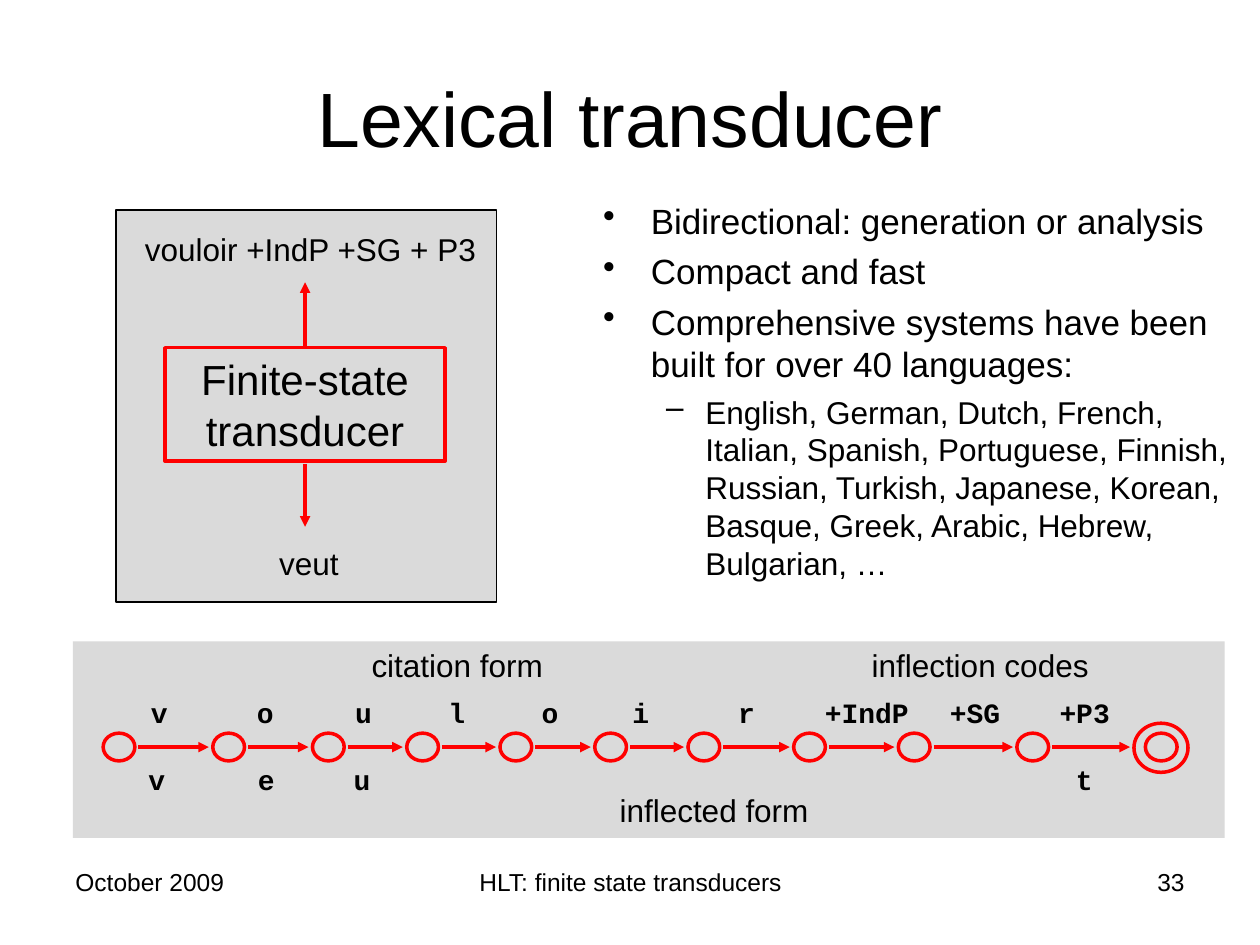
from dataclasses import dataclass

import pptx
import pptx.dml.color
import pptx.enum.shapes
import pptx.enum.text
import pptx.oxml.ns
import pptx.util
from lxml import etree

Cm = pptx.util.Cm
Pt = pptx.util.Pt
Shape = pptx.enum.shapes.MSO_SHAPE
Align = pptx.enum.text.PP_ALIGN
Anchor = pptx.enum.text.MSO_ANCHOR
qn = pptx.oxml.ns.qn

BLACK, RED, GREY = "000000", "FF0000", "DADADA"
STATE_TOP, STATE_WIDTH, STATE_HEIGHT = 14.78, 0.64, 0.56
ARC_Y = 15.06
UPPER_TOP, LOWER_TOP = 13.89, 15.24
FINAL_STATE = 23.09
FINAL_RING = 22.86


@dataclass
class Box:
    left: float
    top: float
    width: float
    height: float

    def lengths(self) -> tuple:
        return Cm(self.left), Cm(self.top), Cm(self.width), Cm(self.height)


@dataclass
class Caption:
    text: str
    box: Box
    size: float = 18
    align: Align = Align.LEFT
    anchor: Anchor = Anchor.TOP


@dataclass
class Transition:
    state: float
    upper: str
    upper_left: float
    lower: str = ""
    lower_left: float = 0


@dataclass
class Bullet:
    text: str
    mark: str = "•"
    level: int = 0
    size: float = 20
    margin: float = 0.96
    hanging: float = 0.96
    before: float = 5


CAPTIONS = [
    Caption("Lexical transducer", Box(1.27, 0.76, 22.86, 3.18), 44, Align.CENTER, Anchor.MIDDLE),
    Caption("vouloir +IndP +SG + P3", Box(2.67, 4.52, 7.3, 1.02)),
    Caption("veut", Box(5.38, 10.85, 1.9, 1.02)),
    Caption("citation form", Box(7.24, 12.9, 4.78, 1.02)),
    Caption("inflection codes", Box(17.32, 12.9, 5.64, 1.02)),
    Caption("inflected form", Box(12.24, 15.82, 4.52, 1.02)),
    Caption("October 2009", Box(1.27, 17.35, 5.92, 1.32), 14),
    Caption("HLT: finite state transducers", Box(8.69, 17.35, 8.05, 1.32), 14, Align.CENTER),
    Caption("33", Box(18.21, 17.35, 5.92, 1.32), 14, Align.RIGHT),
]

TRANSITIONS = [
    Transition(2.08, "v", 2.79, "v", 2.74),
    Transition(4.29, "o", 4.93, "e", 4.95),
    Transition(6.3, "u", 6.91, "u", 6.88),
    Transition(8.2, "l", 8.79),
    Transition(10.08, "o", 10.67),
    Transition(11.99, "i", 12.5),
    Transition(13.87, "r", 14.63),
    Transition(16, "+IndP", 16.38),
    Transition(18.11, "+SG", 18.9),
    Transition(20.5, "+P3", 21.11, "t", 21.44),
]

BULLETS = [
    Bullet("Bidirectional: generation or analysis", before=0),
    Bullet("Compact and fast"),
    Bullet("Comprehensive systems have been built for over 40 languages:"),
    Bullet(
        "English, German, Dutch, French, Italian, Spanish, Portuguese, Finnish, "
        "Russian, Turkish, Japanese, Korean, Basque, Greek, Arabic, Hebrew, Bulgarian, …",
        "–", 1, 18, 2.06, 0.79, 4.5,
    ),
]


def rgb(value: str):
    return pptx.dml.color.RGBColor.from_string(value)


def write(paragraph, text: str, *, size: float, font: str = "Arial", color: str = BLACK,
          bold: bool = False, align: Align = Align.LEFT, before: float = 0) -> None:
    paragraph.alignment = align
    paragraph.space_before = Pt(before)
    run = paragraph.add_run()
    run.text = text
    run.font.size = Pt(size)
    run.font.name = font
    run.font.bold = bold
    run.font.color.rgb = rgb(color)


def add_frame(slide, box: Box, anchor: Anchor = Anchor.TOP):
    frame = slide.shapes.add_textbox(*box.lengths()).text_frame
    frame.word_wrap = True
    frame.vertical_anchor = anchor
    return frame


def draw_caption(slide, caption: Caption) -> None:
    frame = add_frame(slide, caption.box, caption.anchor)
    write(frame.paragraphs[0], caption.text, size=caption.size, align=caption.align)


def draw_symbol(slide, symbol: str, left: float, top: float) -> None:
    frame = add_frame(slide, Box(left, top, 0.6 + 0.34 * len(symbol), 0.91))
    write(frame.paragraphs[0], symbol, size=16, font="Courier New", bold=True)


def draw_shape(slide, kind: Shape, box: Box, fill: str = "", line: str = "", weight: float = 2):
    shape = slide.shapes.add_shape(kind, *box.lengths())
    shape.shadow.inherit = False
    if fill:
        shape.fill.solid()
        shape.fill.fore_color.rgb = rgb(fill)
    else:
        shape.fill.background()
    if line:
        shape.line.color.rgb = rgb(line)
        shape.line.width = Pt(weight)
    else:
        shape.line.fill.background()
    return shape


def draw_arrow(slide, x1: float, y1: float, x2: float, y2: float) -> None:
    arrow = slide.shapes.add_connector(
        pptx.enum.shapes.MSO_CONNECTOR.STRAIGHT, Cm(x1), Cm(y1), Cm(x2), Cm(y2))
    arrow.line.color.rgb = rgb(RED)
    arrow.line.width = Pt(2)
    etree.SubElement(arrow.line._get_or_add_ln(), qn("a:tailEnd"), type="triangle")
    etree.SubElement(arrow._element.spPr, qn("a:effectLst"))


def draw_state(slide, left: float) -> None:
    draw_shape(slide, Shape.OVAL, Box(left, STATE_TOP, STATE_WIDTH, STATE_HEIGHT), line=RED)


def draw_bullets(slide, box: Box, bullets: list[Bullet]) -> None:
    frame = add_frame(slide, box)
    for index, bullet in enumerate(bullets):
        paragraph = frame.add_paragraph() if index else frame.paragraphs[0]
        paragraph.level = bullet.level
        properties = paragraph._p.get_or_add_pPr()
        properties.set("marL", str(Cm(bullet.margin)))
        properties.set("indent", str(-Cm(bullet.hanging)))
        etree.SubElement(properties, qn("a:buChar"), char=bullet.mark)
        write(paragraph, bullet.text, size=bullet.size, before=bullet.before)


def draw_network(slide) -> None:
    ends = [step.state for step in TRANSITIONS[1:]] + [FINAL_RING]
    for step, end in zip(TRANSITIONS, ends):
        draw_state(slide, step.state)
        draw_arrow(slide, step.state + 0.71, ARC_Y, end - 0.08, ARC_Y)
        draw_symbol(slide, step.upper, step.upper_left, UPPER_TOP)
        if step.lower:
            draw_symbol(slide, step.lower, step.lower_left, LOWER_TOP)
    draw_state(slide, FINAL_STATE)
    draw_shape(slide, Shape.OVAL, Box(FINAL_RING, 14.58, 1.09, 0.99), line=RED)


def main() -> None:
    deck = pptx.Presentation()
    deck.slide_width, deck.slide_height = Cm(25.4), Cm(19.05)
    slide = deck.slides.add_slide(deck.slide_layouts[6])

    draw_shape(slide, Shape.RECTANGLE, Box(2.34, 4.24, 7.67, 7.9), GREY, BLACK, 1)
    draw_shape(slide, Shape.RECTANGLE, Box(1.47, 12.93, 23.22, 3.96), GREY)
    transducer = draw_shape(slide, Shape.RECTANGLE, Box(3.33, 7.01, 5.64, 2.29), GREY, RED)
    transducer.text_frame.word_wrap = True
    transducer.text_frame.vertical_anchor = Anchor.TOP
    write(transducer.text_frame.paragraphs[0], "Finite-state transducer",
          size=24, align=Align.CENTER)
    draw_arrow(slide, 6.15, 6.99, 6.15, 5.69)
    draw_arrow(slide, 6.15, 9.35, 6.15, 10.62)

    for caption in CAPTIONS:
        draw_caption(slide, caption)
    draw_bullets(slide, Box(11.91, 3.89, 13.13, 8.26), BULLETS)
    draw_network(slide)
    deck.save("out.pptx")


if __name__ == "__main__":
    main()
